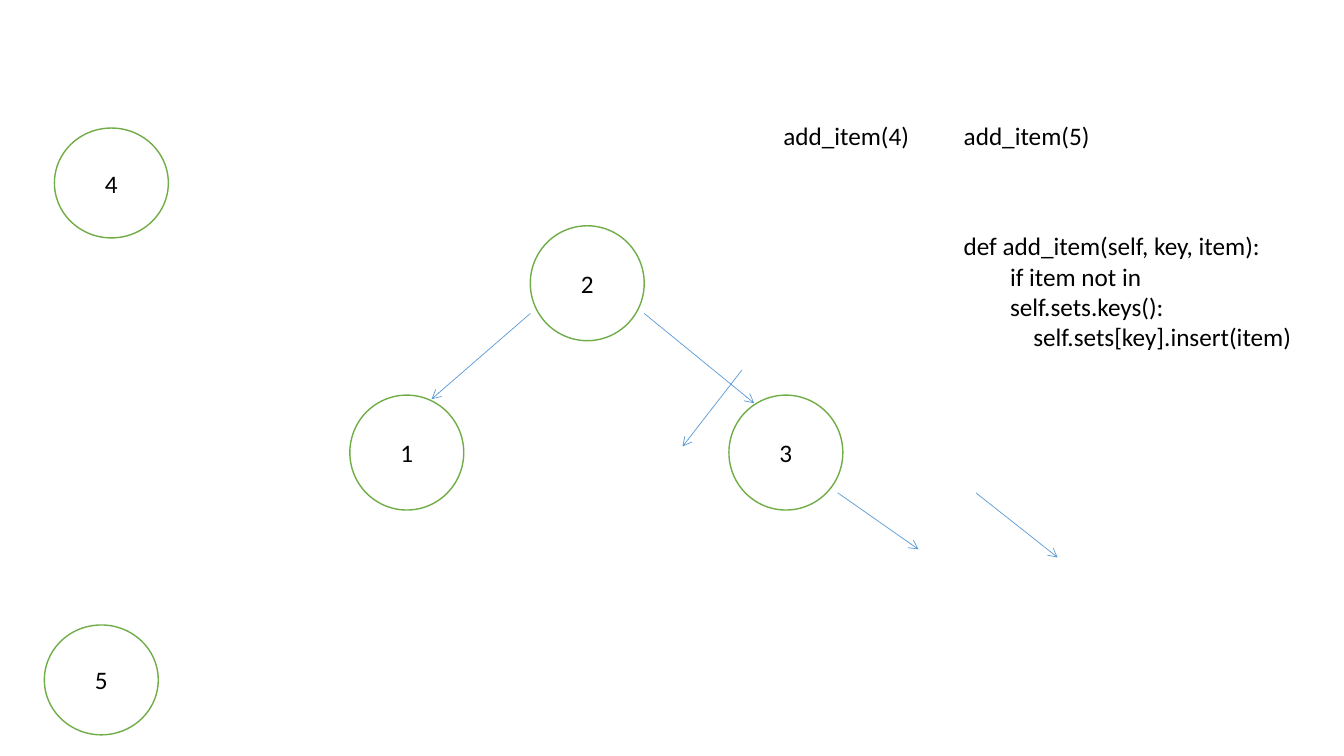
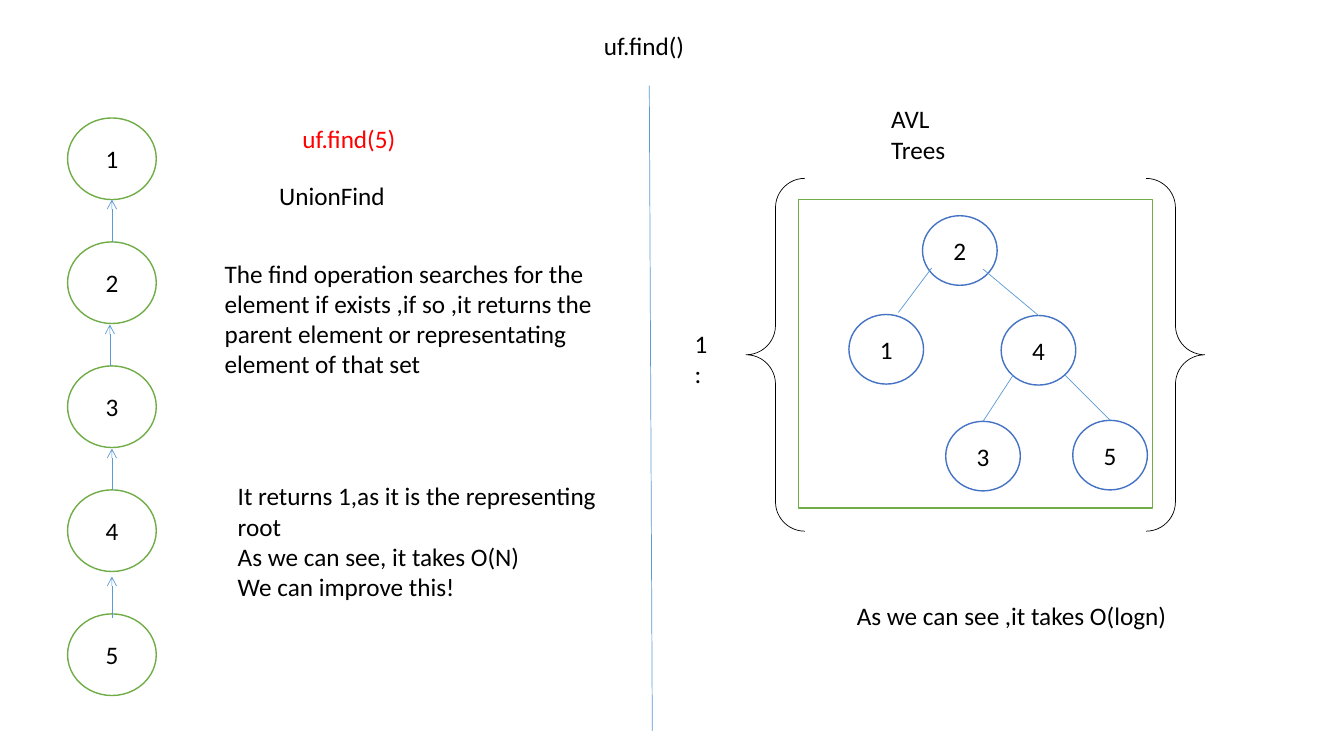
from lxml.etree import SubElement
from pptx import Presentation
from pptx.dml.color import RGBColor
from pptx.enum.shapes import MSO_CONNECTOR, MSO_SHAPE as SHAPE
from pptx.enum.text import MSO_ANCHOR, PP_ALIGN
from pptx.oxml.ns import qn
from pptx.util import Pt

PX = 9144  # EMU per px, 100 px to the inch
FONT, SIZE = "Calibri", Pt(18)
BLACK = RGBColor(0x00, 0x00, 0x00)
WHITE = RGBColor(0xFF, 0xFF, 0xFF)
RED = RGBColor(0xFF, 0x00, 0x00)
GREEN = RGBColor(0x70, 0xAD, 0x47)
BLUE = RGBColor(0x44, 0x72, 0xC4)
LIGHT_BLUE = RGBColor(0x5B, 0x9B, 0xD5)
LINE_HEIGHT, LINE_PAD = 30, 10
INDENT = 23

# Nodes: label, left, top, width, height
INSERT_NODES = [
    ("4", 54, 127, 113, 109),
    ("5", 44, 620, 113, 109),
    ("2", 526, 224, 113, 114),
    ("3", 723, 392, 113, 114),
    ("1", 347, 392, 113, 114),
]
CHAIN_NODES = [(str(i + 1), 67, 117 + 123 * i, 88, 81) for i in range(5)]
AVL_NODES = [
    (label, left, top, 74, 69)
    for label, left, top in [
        ("2", 915, 214), ("1", 842, 312), ("4", 993, 313),
        ("3", 938, 418), ("5", 1064, 417),
    ]
]

# Lines: start x, start y, end x, end y
INSERT_ARROWS = [
    (639, 311, 748, 400),
    (526, 311, 428, 396),
    (831, 489, 911, 545),
    (968, 489, 1049, 553),
    (736, 367, 677, 443),
]
CHAIN_ARROWS = [
    (111, 240, 111, 198),
    (109, 363, 109, 322),
    (111, 486, 111, 445),
    (111, 613, 111, 572),
]
AVL_EDGES = [
    (924, 266, 891, 310),
    (975, 267, 1030, 313),
    (1005, 372, 975, 418),
    (1056, 372, 1101, 417),
]
DIVIDER = (644, 85, 647, 725)

# Texts: left, top, width, colour, (indent level, line) pairs
INSERT_TEXTS = [
    (767, 114, 145, BLACK, [(0, "add_item(4)")]),
    (946, 114, 145, BLACK, [(0, "add_item(5)")]),
    (946, 224, 353, BLACK, [
        (0, "def add_item(self, key, item):"),
        (2, "if item not in self.sets.keys():"),
        (3, "self.sets[key].insert(item)"),
    ]),
]
FIND_TITLE = (589, 25, 100, BLACK, [(0, "uf.find()")])
FIND_TEXTS = [
    (290, 117, 112, RED, [(0, "uf.find(5)")]),
    (267, 174, 125, BLACK, [(0, "UnionFind")]),
    (213, 251, 384, BLACK, [
        (0, "The find operation searches for the"),
        (0, "element if exists ,if so ,it returns the"),
        (0, "parent element or representating"),
        (0, "element of that set"),
    ]),
    (226, 472, 376, BLACK, [
        (0, "It returns 1,as it is the representing"),
        (0, "root"),
        (0, "As we can see, it takes O(N)"),
        (0, "We can improve this!"),
    ]),
    (874, 98, 117, BLACK, [(0, "AVL Trees")]),
    (679, 321, 44, BLACK, [(0, "1 :")]),
    (840, 591, 327, BLACK, [(0, "As we can see ,it takes O(logn)")]),
]
AVL_FRAME = (792, 198, 351, 306)
AVL_BRACES = (740, 177, 455, 350)


def emu(*lengths):
    return [length * PX for length in lengths]


def style_runs(p, color):
    for r in p.runs:
        r.font.name, r.font.size = FONT, SIZE
        r.font.color.rgb = color


def text_height(lines):
    return LINE_PAD + LINE_HEIGHT * len(lines)


def fill_text(tf, lines, color):
    tf.word_wrap = False
    tf.text = "\n".join(line for _, line in lines)
    for p, (level, _) in zip(tf.paragraphs, lines):
        p.alignment = PP_ALIGN.LEFT
        style_runs(p, color)
        if level:
            p._p.get_or_add_pPr().set("marL", str(level * INDENT * PX))


def add_text(slide, left, top, width, color, lines):
    box = slide.shapes.add_textbox(*emu(left, top, width, text_height(lines)))
    fill_text(box.text_frame, lines, color)


def set_title(slide, left, top, width, color, lines):
    title = slide.shapes.title
    title.left, title.top, title.width, title.height = emu(
        left, top, width, text_height(lines))
    fill_text(title.text_frame, lines, color)


def add_outline(slide, kind, box, color, width=1.0, fill=WHITE):
    sp = slide.shapes.add_shape(kind, *emu(*box))
    sp.shadow.inherit = False
    if fill is None:
        sp.fill.background()
    else:
        sp.fill.solid()
        sp.fill.fore_color.rgb = fill
    sp.line.color.rgb = color
    sp.line.width = Pt(width)
    return sp


def add_nodes(slide, nodes, color):
    shapes = []
    for label, *box in nodes:
        sp = add_outline(slide, SHAPE.OVAL, box, color)
        tf = sp.text_frame
        tf.vertical_anchor = MSO_ANCHOR.MIDDLE
        tf.text = label
        p = tf.paragraphs[0]
        p.alignment = PP_ALIGN.CENTER
        style_runs(p, BLACK)
        shapes.append(sp)
    return shapes


def add_lines(slide, lines, nodes=(), arrow=False):
    """Draw lines, joining each end that meets the top of a node."""
    tops = {(sp.left + sp.width // 2, sp.top): sp for sp in nodes}
    for line in lines:
        ends = emu(*line)
        cxn = slide.shapes.add_connector(MSO_CONNECTOR.STRAIGHT, *ends)
        cxn.line.color.rgb = LIGHT_BLUE
        cxn.line.width = Pt(0.5)
        spPr = cxn._element.spPr
        if arrow:
            SubElement(spPr.find(qn("a:ln")), qn("a:tailEnd"), type="arrow")
        SubElement(spPr, qn("a:effectLst"))
        start, end = tuple(ends[:2]), tuple(ends[2:])
        if start in tops:
            cxn.begin_connect(tops[start], 0)
        if end in tops:
            cxn.end_connect(tops[end], 0)


def build_insert_slide(prs):
    slide = prs.slides.add_slide(prs.slide_layouts[6])
    nodes = add_nodes(slide, INSERT_NODES, GREEN)
    add_lines(slide, INSERT_ARROWS, nodes, arrow=True)
    for text in INSERT_TEXTS:
        add_text(slide, *text)


def build_find_slide(prs):
    slide = prs.slides.add_slide(prs.slide_layouts[5])
    set_title(slide, *FIND_TITLE)
    add_lines(slide, [DIVIDER])
    chain = add_nodes(slide, CHAIN_NODES, GREEN)
    add_lines(slide, CHAIN_ARROWS, chain, arrow=True)
    add_outline(slide, SHAPE.RECTANGLE, AVL_FRAME, GREEN)
    tree = add_nodes(slide, AVL_NODES, BLUE)
    add_lines(slide, AVL_EDGES, tree)
    add_outline(slide, SHAPE.DOUBLE_BRACE, AVL_BRACES, BLACK, 0.5, None)
    for text in FIND_TEXTS:
        add_text(slide, *text)


def main():
    prs = Presentation()
    prs.slide_width, prs.slide_height = emu(1333, 750)
    build_insert_slide(prs)
    build_find_slide(prs)
    prs.save("out.pptx")


if __name__ == "__main__":
    main()
